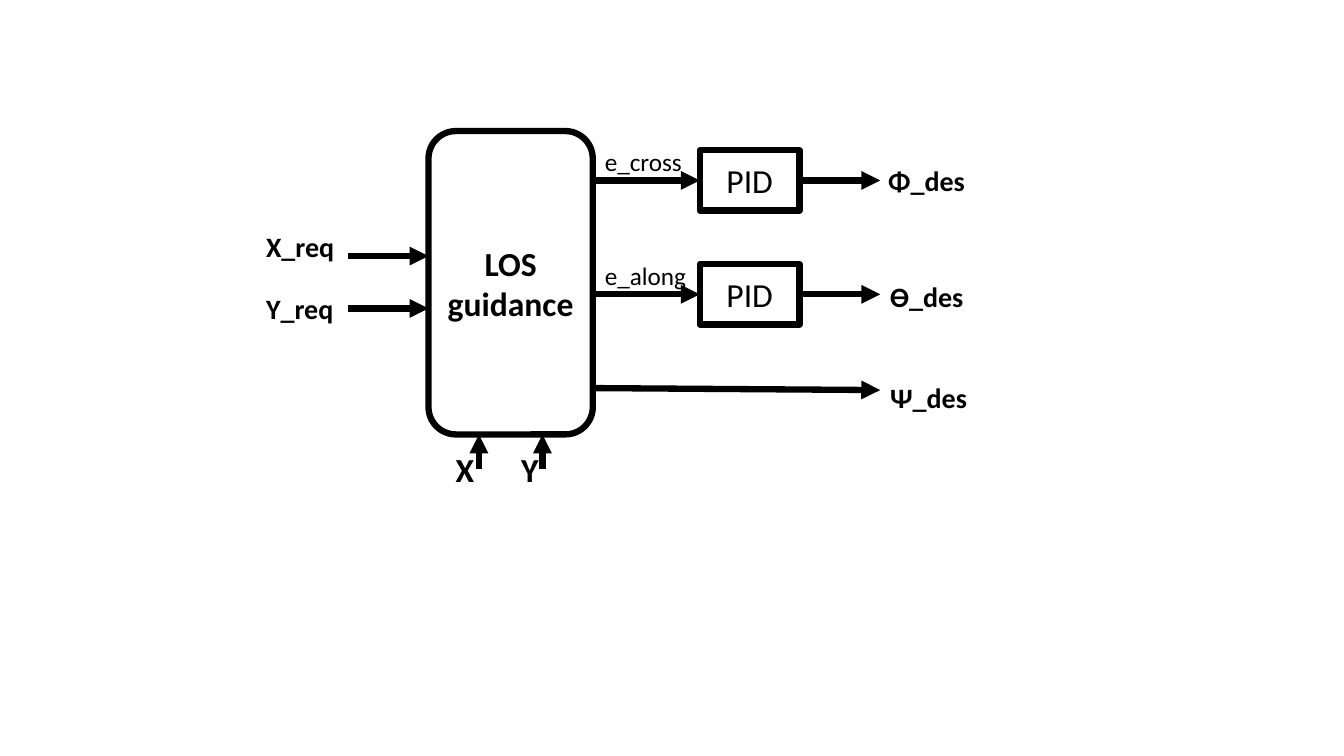
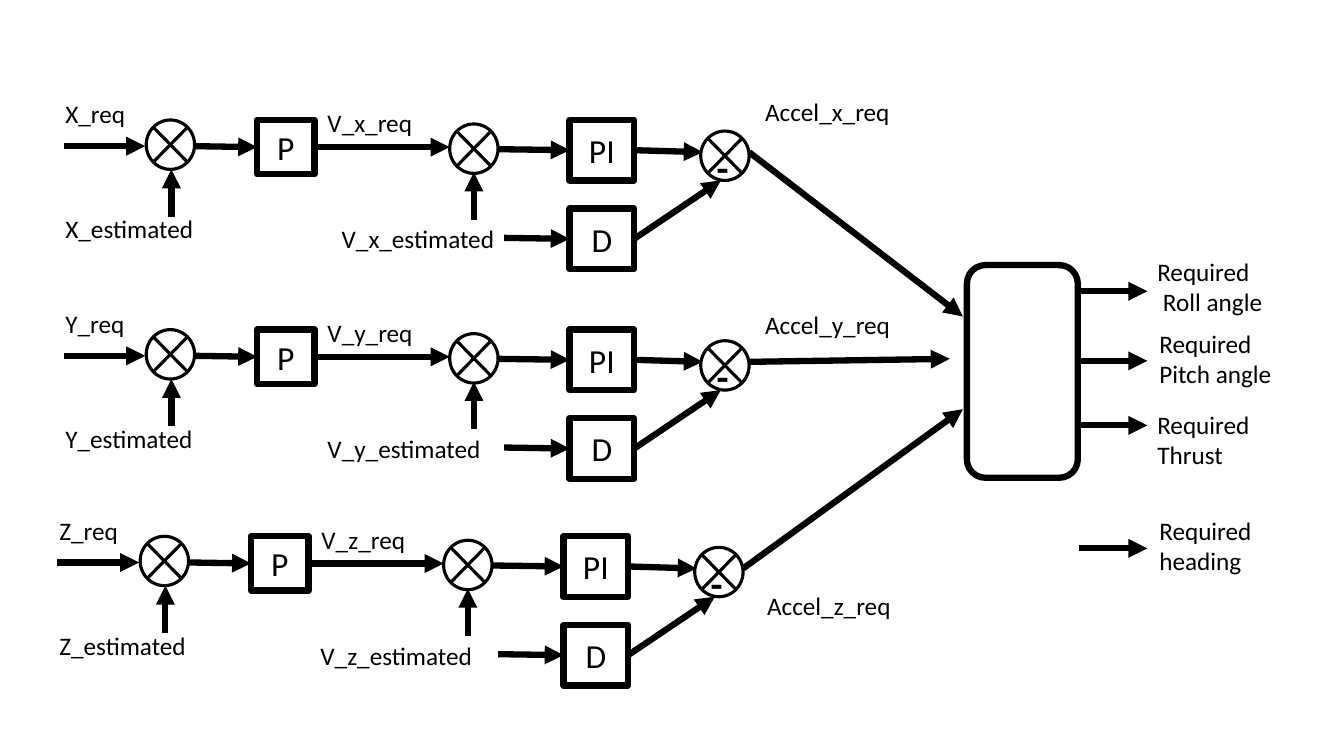
from dataclasses import dataclass
from typing import NamedTuple

from lxml import etree
from pptx import Presentation
from pptx import util as u
from pptx.dml import color
from pptx.enum import shapes, text
from pptx.oxml import ns
from pptx.shapes import autoshape
from pptx.slide import Slide

COLORS = {"ink": "000000", "paper": "FFFFFF"}
FONT = "Calibri"
THICK, THIN = 4.5, 2.25
TOP, LEFT, RIGHT = 0, 1, 3
RECT = shapes.MSO_SHAPE.RECTANGLE
ROUNDED = shapes.MSO_SHAPE.ROUNDED_RECTANGLE
JUNCTION = shapes.MSO_SHAPE.FLOWCHART_SUMMING_JUNCTION


class Point(NamedTuple):
    x: float
    y: float


class Port(NamedTuple):
    shape: autoshape.Shape
    side: int


@dataclass(frozen=True)
class Block:
    x: float
    y: float
    width: float
    height: float
    words: str = ""
    kind: shapes.MSO_SHAPE = RECT
    weight: float = THICK
    bold: bool = False


@dataclass(frozen=True)
class Label:
    words: str
    x: float
    y: float
    width: float
    height: float = 0.4
    size: int = 18
    bold: bool = False


@dataclass(frozen=True)
class Channel:
    axis: str
    dx: float
    dy: float
    estimate_x: float
    estimate_width: float
    output_label: Point
    output_tip: Point


CHANNELS = [
    Channel("x", 0, 0, 3.29, 1.72, Point(7.49, 0.91), Point(9.55, 3.14)),
    Channel("y", 0, 2.08, 3.15, 1.87, Point(7.49, 3.02), Point(9.42, 3.56)),
    Channel("z", -0.06, 4.13, 3.08, 1.87, Point(7.51, 5.81), Point(9.55, 4.06)),
]


def rgb(name: str) -> color.RGBColor:
    return color.RGBColor.from_string(COLORS[name])


def write(frame: text.MSO_ANCHOR, words: str, size: int, bold: bool) -> None:
    frame.text = words
    for paragraph in frame.paragraphs:
        for run in paragraph.runs:
            run.font.name = FONT
            run.font.size = u.Pt(size)
            run.font.bold = bold
            run.font.color.rgb = rgb("ink")


def draw_block(slide: Slide, block: Block) -> autoshape.Shape:
    shape = slide.shapes.add_shape(
        block.kind, u.Inches(block.x), u.Inches(block.y),
        u.Inches(block.width), u.Inches(block.height))
    shape.shadow.inherit = False
    shape.fill.solid()
    shape.fill.fore_color.rgb = rgb("paper")
    shape.line.color.rgb = rgb("ink")
    shape.line.width = u.Pt(block.weight)
    if block.words:
        write(shape.text_frame, block.words, 24, block.bold)
        shape.text_frame.vertical_anchor = text.MSO_ANCHOR.MIDDLE
        for paragraph in shape.text_frame.paragraphs:
            paragraph.alignment = text.PP_ALIGN.CENTER
    return shape


def draw_label(slide: Slide, label: Label) -> None:
    box = slide.shapes.add_textbox(
        u.Inches(label.x), u.Inches(label.y),
        u.Inches(label.width), u.Inches(label.height))
    box.text_frame.word_wrap = True
    write(box.text_frame, label.words, label.size, label.bold)


def draw_arrow(slide: Slide, start: Point | Port, end: Point | Port) -> None:
    ends = [Point(0, 0) if isinstance(stop, Port) else stop for stop in (start, end)]
    arrow = slide.shapes.add_connector(
        shapes.MSO_CONNECTOR.STRAIGHT,
        *(u.Inches(length) for stop in ends for length in stop))
    if isinstance(start, Port):
        arrow.begin_connect(start.shape, start.side)
    if isinstance(end, Port):
        arrow.end_connect(end.shape, end.side)
    arrow.line.color.rgb = rgb("ink")
    arrow.line.width = u.Pt(THICK)
    properties = arrow.element.spPr
    line = properties.find(ns.qn("a:ln"))
    etree.SubElement(line, ns.qn("a:tailEnd"), type="triangle")
    etree.SubElement(properties, ns.qn("a:effectLst"))


def draw_junction(slide: Slide, x: float, y: float) -> None:
    draw_block(slide, Block(x, y, 0.48, 0.49, kind=JUNCTION, weight=THIN))


def build_guidance(slide: Slide) -> None:
    for y in (2.54, 3.06):
        draw_arrow(slide, Point(3.45, y), Point(4.25, y))
    draw_block(slide, Block(4.25, 1.3, 1.63, 3.01, "LOS\vguidance", ROUNDED, bold=True))
    for error, y in (("e_cross", 1.79), ("e_along", 2.92)):
        pid = draw_block(slide, Block(6.94, y - 0.3, 0.99, 0.6, "PID"))
        draw_arrow(slide, Point(5.9, y), Port(pid, LEFT))
        draw_arrow(slide, Port(pid, RIGHT), Point(8.73, y))
        draw_label(slide, Label(error, 5.9, y - 0.39, 1.02))
    draw_arrow(slide, Point(5.89, 3.85), Point(8.73, 3.87))
    for words, x, y in (
        ("X_req", 2.54, 2.23),
        ("Y_req", 2.54, 2.84),
        ("Φ_des", 8.71, 1.57),
        ("ϴ_des", 8.73, 2.72),
        ("Ѱ_des", 8.73, 3.73),
    ):
        draw_label(slide, Label(words, x, y, 1.01, 0.44, 20, True))
    for words, label_x, arrow_x in (("X", 4.42, 4.75), ("Y", 5.07, 5.38)):
        draw_arrow(slide, Point(arrow_x, 4.65), Point(arrow_x, 4.31))
        draw_label(slide, Label(words, label_x, 4.4, 0.4, 0.5, 24, True))


def build_channel(slide: Slide, channel: Channel) -> None:
    def at(x: float, y: float) -> Point:
        return Point(x + channel.dx, y + channel.dy)

    axis = channel.axis
    position = axis.upper()
    velocity = f"V_{axis}"

    draw_junction(slide, *at(1.45, 1.19))
    draw_junction(slide, *at(4.46, 1.23))
    p_block = draw_block(slide, Block(*at(2.55, 1.19), 0.57, 0.54, "P"))
    pi_block = draw_block(slide, Block(*at(5.65, 1.19), 0.64, 0.6, "PI"))
    d_block = draw_block(slide, Block(*at(5.65, 2.07), 0.64, 0.6, "D"))

    for start, end in (
        (at(0.63, 1.45), at(1.44, 1.45)),
        (at(1.7, 2.15), at(1.7, 1.68)),
        (at(1.93, 1.45), Port(p_block, LEFT)),
        (Port(p_block, RIGHT), at(4.46, 1.46)),
        (at(4.7, 2.18), at(4.7, 1.71)),
        (at(4.93, 1.48), Port(pi_block, LEFT)),
        (at(5, 2.36), Port(d_block, LEFT)),
        (Port(pi_block, RIGHT), at(6.97, 1.51)),
    ):
        draw_arrow(slide, start, end)

    draw_junction(slide, *at(6.95, 1.3))
    draw_arrow(slide, Port(d_block, RIGHT), at(7.15, 1.79))
    draw_arrow(slide, at(7.43, 1.51), channel.output_tip)

    for label in (
        Label(f"{position}_req", *at(0.55, 0.93), 0.96),
        Label(f"{position}_estimated", *at(0.55, 2.07), 1.52),
        Label(f"{velocity}_req", *at(3.15, 1.02), 1.17),
        Label(f"{velocity}_estimated", channel.estimate_x, 2.17 + channel.dy,
              channel.estimate_width),
        Label("-", *at(7.01, 1.37), 0.96, 0.57, 28, True),
        Label(f"Accel_{axis}_req", *channel.output_label, 2.24),
    ):
        draw_label(slide, label)


def build_cascade(slide: Slide) -> None:
    for channel in CHANNELS:
        build_channel(slide, channel)
    draw_block(slide, Block(9.59, 2.63, 1.1, 2.11, kind=ROUNDED))
    for words, x, label_y, arrow_y in (
        (" Roll angle", 11.38, 2.49, 2.89),
        ("Pitch angle", 11.4, 3.21, 3.58),
        ("Thrust", 11.38, 4.01, 4.22),
        ("heading", 11.4, 5.06, 5.44),
    ):
        draw_arrow(slide, Point(10.7, arrow_y), Point(11.38, arrow_y))
        draw_label(slide, Label(f"Required\n{words}", x, label_y, 1.47, 0.71))


def main() -> None:
    presentation = Presentation()
    presentation.slide_width = u.Inches(13.33)
    presentation.slide_height = u.Inches(7.5)
    blank = presentation.slide_layouts[6]
    for build in (build_guidance, build_cascade):
        build(presentation.slides.add_slide(blank))
    presentation.save("out.pptx")


if __name__ == "__main__":
    main()
